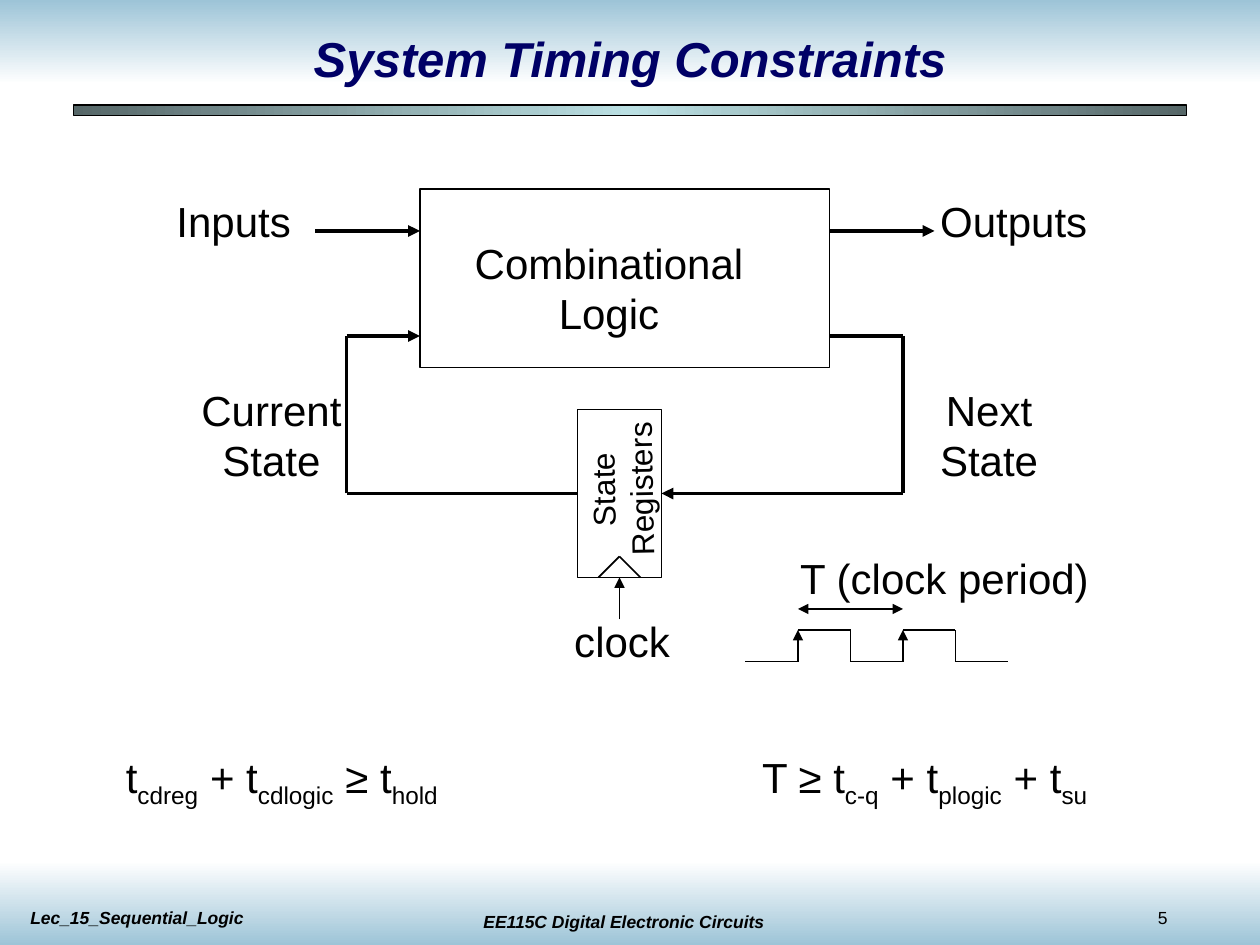
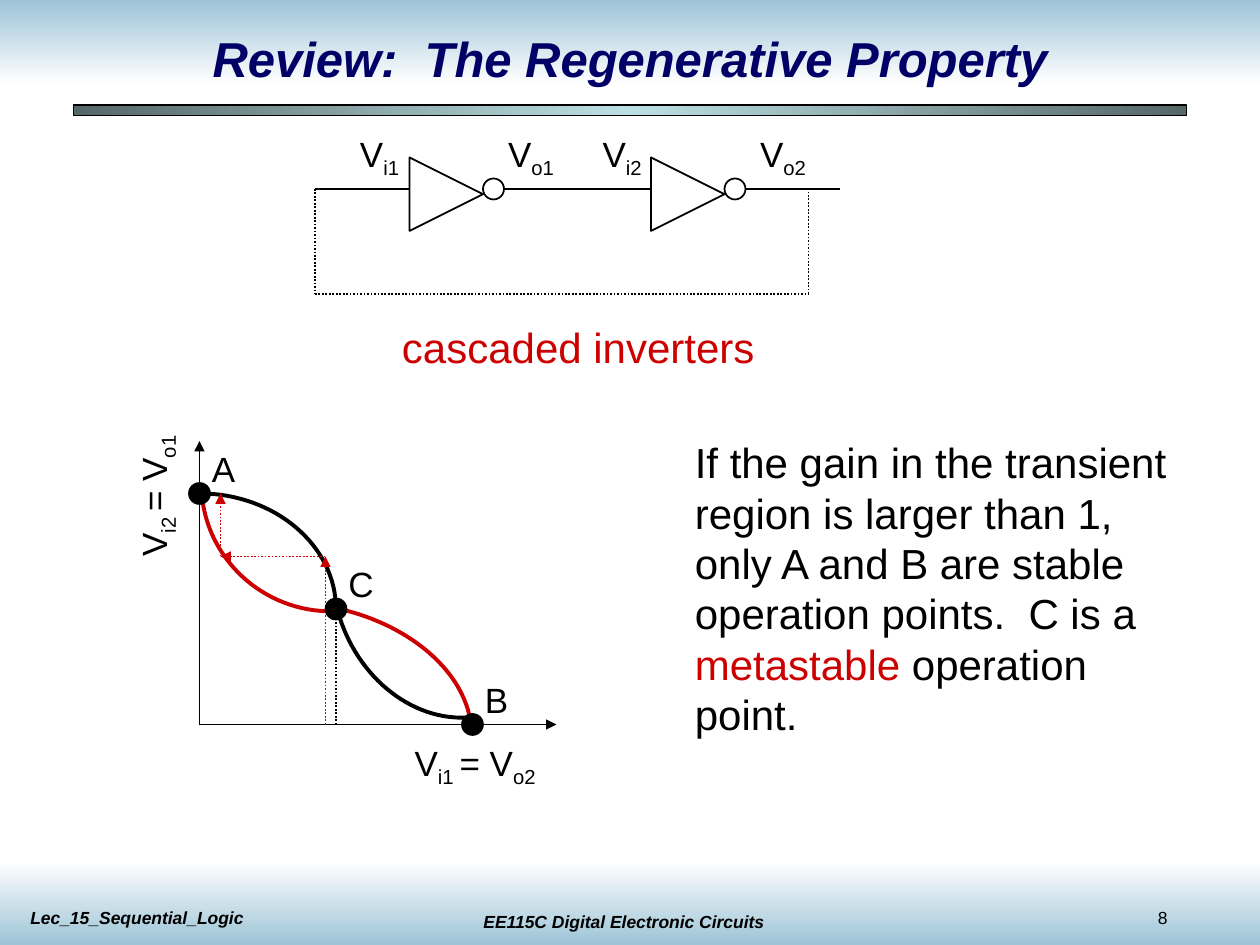
from dataclasses import dataclass
from typing import Any

from lxml.etree import SubElement
from pptx import Presentation
from pptx.dml.color import RGBColor as Rgb
from pptx.enum.dml import MSO_LINE as Dash
from pptx.enum.shapes import MSO_CONNECTOR as Conn, MSO_SHAPE as Form
from pptx.enum.text import MSO_ANCHOR as Anchor, MSO_AUTO_SIZE as Auto, PP_ALIGN as Align
from pptx.oxml.ns import qn
from pptx.util import Emu, Pt

Point = tuple[int, int]
Box = tuple[int, int, int, int]


# Theme: colours, type sizes and line widths
@dataclass(frozen=True)
class Theme:
    font: str = "Arial"
    ink: str = "000000"
    navy: str = "000066"
    red: str = "CC0000"
    sky: str = "9DC4D7"
    white: str = "FFFFFF"
    slate: str = "566768"
    ice: str = "BBE0E3"
    head: int = 28
    body: int = 24
    small: int = 20
    side: int = 18
    foot: int = 10
    thin: float = 1
    bold: float = 2.25


T = Theme()
PX = 7620  # 120 px to the inch


@dataclass(frozen=True)
class Label:
    """Text in a box; each part between bars is a subscript, or red if accent."""
    text: str
    box: Box
    size: int = T.body
    color: str = T.ink
    align: Align = Align.LEFT
    turn: float = 0
    wrap: bool = False
    slant: bool = False
    accent: bool = False


@dataclass(frozen=True)
class Wire:
    """A run of straight lines; its last one may end in an arrow."""
    points: tuple[Point, ...]
    width: float = T.thin
    color: str = T.ink
    tip: bool = False
    both: bool = False
    dots: bool = False


@dataclass(frozen=True)
class Curve:
    knots: tuple[Point, Point, Point, Point]
    color: str


# Drawing tools
def px(*vals: float) -> list[Emu]:
    return [Emu(round(v * PX)) for v in vals]


def put(obj: Any, vals: dict[str, Any]) -> None:
    for key, val in vals.items():
        setattr(obj, key, val)


def style(font: Any, size: int, color: str, slant: bool) -> None:
    put(font, {"name": T.font, "size": Pt(size), "bold": slant, "italic": slant})
    font.color.rgb = Rgb.from_string(color)


def edge(line: Any, color: str, width: float) -> None:
    line.color.rgb = Rgb.from_string(color)
    line.width = Pt(width)


def shape(shapes: Any, form: Form, box: Box, fill: str = "", line: float = T.thin) -> Any:
    item = shapes.add_shape(form, *px(*box))
    item.shadow.inherit = False
    if fill:
        item.fill.solid()
        item.fill.fore_color.rgb = Rgb.from_string(fill)
    else:
        item.fill.background()
    if line:
        edge(item.line, T.ink, line)
    else:
        item.line.fill.background()
    return item


def blend(shapes: Any, box: Box, colors: list[str], angle: int, line: float = 0) -> None:
    item = shape(shapes, Form.RECTANGLE, box, line=line)
    item.fill.gradient()
    item.fill.gradient_angle = angle
    stops = item.element.find(".//" + qn("a:gsLst"))
    stops.clear()
    for i, color in enumerate(colors):
        stop = SubElement(stops, qn("a:gs"), pos=str(100000 * i // (len(colors) - 1)))
        SubElement(stop, qn("a:srgbClr"), val=color)


def write(shapes: Any, lab: Label) -> None:
    item = shapes.add_textbox(*px(*lab.box))
    item.rotation = lab.turn
    frame = item.text_frame
    put(frame, {"word_wrap": lab.wrap, "auto_size": Auto.SHAPE_TO_FIT_TEXT})
    for i, row in enumerate(lab.text.split("\n")):
        para = frame.add_paragraph() if i else frame.paragraphs[0]
        para.alignment = lab.align
        for j, part in enumerate(row.split("|")):
            if not part:
                continue
            run = para.add_run()
            run.text = part
            mark = j % 2 == 1
            color = T.red if mark and lab.accent else lab.color
            style(run.font, lab.size, color, lab.slant)
            if mark and not lab.accent:
                run._r.get_or_add_rPr().set("baseline", "-25000")


def draw(shapes: Any, wire: Wire) -> None:
    pairs = list(zip(wire.points, wire.points[1:]))
    for i, (start, end) in enumerate(pairs):
        item = shapes.add_connector(Conn.STRAIGHT, *px(*start, *end))
        edge(item.line, wire.color, wire.width)
        if wire.dots:
            item.line.dash_style = Dash.ROUND_DOT
        ln = item.element.find(".//" + qn("a:ln"))
        if wire.both:
            SubElement(ln, qn("a:headEnd"), type="triangle")
        if wire.both or (wire.tip and i == len(pairs) - 1):
            SubElement(ln, qn("a:tailEnd"), type="triangle")
        SubElement(item.element.spPr, qn("a:effectLst"))


def bend(shapes: Any, curve: Curve, steps: int = 32) -> None:
    spots = []
    for i in range(steps + 1):
        t = i / steps
        parts = ((1 - t) ** 3, 3 * t * (1 - t) ** 2, 3 * t * t * (1 - t), t ** 3)
        spots.append(px(*(sum(w * k[a] for w, k in zip(parts, curve.knots)) for a in (0, 1))))
    path = shapes.build_freeform(*spots[0], scale=1.0)
    path.add_line_segments(spots[1:], close=False)
    item = path.convert_to_shape()
    item.shadow.inherit = False
    item.fill.background()
    edge(item.line, curve.color, T.bold)


# Shared frame: bands, title rule and footers, kept on the layout
def frame(slide: Any, layout: Any) -> None:
    shapes = slide.shapes
    old = len(shapes)
    blend(shapes, (0, 0, 1200, 80), [T.sky, T.white], 270)
    blend(shapes, (0, 820, 1200, 80), [T.white, T.sky], 270)
    blend(shapes, (70, 100, 1060, 10), [T.slate, T.ice, T.slate], 0, 0.75)
    write(shapes, Label("EE115C Digital Electronic Circuits", (424, 862, 340, 32), T.foot,
                        align=Align.CENTER, wrap=True, slant=True))
    write(shapes, Label("Lec_15_Sequential_Logic", (17, 858, 340, 32), T.foot,
                        wrap=True, slant=True))
    for item in list(shapes)[old:]:
        layout.shapes.element.append(item.element)


def start(deck: Any, title: str, page: int) -> Any:
    slide = deck.slides.add_slide(deck.slide_layouts[5])
    head = slide.shapes.title
    put(head, dict(zip(("left", "top", "width", "height"), px(90, 20, 1020, 70))))
    put(head.text_frame, {"text": title, "word_wrap": True, "auto_size": Auto.NONE,
                          "vertical_anchor": Anchor.MIDDLE})
    para = head.text_frame.paragraphs[0]
    para.alignment = Align.CENTER
    style(para.runs[0].font, T.head, T.navy, True)
    write(slide.shapes, Label(str(page), (1091, 858, 100, 32), T.foot))
    return slide


# Slide: timing constraints
def timing(deck: Any) -> Any:
    slide = start(deck, "System Timing Constraints", 5)
    shapes = slide.shapes
    for box in ((400, 180, 390, 170), (550, 390, 80, 160)):
        shape(shapes, Form.RECTANGLE, box)
    # Data loop
    for points, tip in (
        (((300, 220), (400, 220)), True),
        (((790, 220), (890, 220)), True),
        (((790, 320), (860, 320), (860, 470), (630, 470)), True),
        (((550, 470), (330, 470), (330, 320), (400, 320)), True),
    ):
        draw(shapes, Wire(points, T.bold, tip=tip))
    # Clock pin and waveform
    draw(shapes, Wire(((590, 590), (590, 550)), tip=True))
    draw(shapes, Wire(((570, 550), (590, 530), (610, 550))))
    low, high, half = 630, 600, 50
    for x in (760, 860):
        draw(shapes, Wire(((x - half, low), (x, low), (x, high)), tip=True))
        draw(shapes, Wire(((x, high), (x + half, high), (x + half, low))))
    draw(shapes, Wire(((910, low), (960, low))))
    draw(shapes, Wire(((760, 580), (860, 580)), both=True))
    # Names
    for text, box in (
        ("Combinational\nLogic", (435, 220, 290, 108)),
        ("Inputs", (151, 180, 143, 60)),
        ("Outputs", (879, 180, 173, 60)),
        ("Current\nState", (175, 360, 167, 108)),
        ("Next\nState", (878, 360, 128, 108)),
        ("clock", (530, 580, 125, 60)),
        ("T (clock period)", (745, 520, 309, 60)),
    ):
        write(shapes, Label(text, box, align=Align.CENTER))
    write(shapes, Label("State\nRegisters", (507, 424, 170, 84), T.side,
                        align=Align.CENTER, turn=268.9))
    # Constraints
    write(shapes, Label("t|cdreg| + t|cdlogic| ≥ t|hold", (108, 710, 345, 67)))
    write(shapes, Label("T ≥ t|c-q| + t|plogic| + t|su", (714, 710, 360, 67)))
    return slide


# Slide: regenerative property
def regen(deck: Any) -> None:
    shapes = start(deck, "Review:  The Regenerative Property", 8).shapes
    # Inverter pair with feedback
    for x in (390, 620):
        shape(shapes, Form.ISOSCELES_TRIANGLE, (x, 150, 70, 70)).rotation = 90
        shape(shapes, Form.OVAL, (x + 70, 170, 20, 20))
    for left, right in ((300, 390), (480, 620), (710, 800)):
        draw(shapes, Wire(((left, 180), (right, 180))))
    draw(shapes, Wire(((300, 180), (300, 280), (770, 280), (770, 180)), dots=True))
    for text, left in (("V|i1", 331), ("V|o1", 472), ("V|i2", 562), ("V|o2", 712)):
        write(shapes, Label(text, (left, 120, 80, 58), T.small))
    write(shapes, Label("cascaded inverters", (371, 300, 375, 60), color=T.red))
    # Axes and transfer curves
    for end in ((190, 420), (530, 690)):
        draw(shapes, Wire(((190, 690), end), tip=True))
    for curve in (
        Curve(((190, 470), (262, 470), (320, 520), (320, 580)), T.ink),
        Curve(((320, 575), (335, 641), (391, 689), (450, 683)), T.ink),
        Curve(((192, 469), (197, 536), (256, 587), (325, 582)), T.red),
        Curve(((314, 578), (389, 592), (446, 641), (449, 695)), T.red),
    ):
        bend(shapes, curve)
    # Path from C towards A
    steps = ((310, 690), (310, 530), (210, 530), (210, 470))
    for pair in zip(steps, steps[1:]):
        draw(shapes, Wire(pair, color=T.red, tip=True, dots=True))
    draw(shapes, Wire(((320, 690), (320, 580)), tip=True, dots=True))
    # Operation points
    for name, (x, y) in {"A": (190, 470), "B": (450, 690), "C": (320, 580)}.items():
        shape(shapes, Form.OVAL, (x - 10, y - 10, 20, 20), T.ink)
        write(shapes, Label(name, (x, y - 50, 50, 53), T.small))
    write(shapes, Label("V|i1 |= V|o2", (383, 700, 160, 58), T.small))
    write(shapes, Label("V|i2 |= V|o1", (69, 433, 160, 58), T.small, turn=270))
    # Conclusion
    write(shapes, Label(
        "If the gain in the transient region is larger than 1, only A and B are stable "
        "operation points.  C is a |metastable| operation point.",
        (650, 410, 490, 300), wrap=True, accent=True))


def main() -> None:
    deck = Presentation()
    put(deck, dict(zip(("slide_width", "slide_height"), px(1200, 900))))
    first = timing(deck)
    frame(first, deck.slide_layouts[5])
    regen(deck)
    deck.save("out.pptx")


if __name__ == "__main__":
    main()
